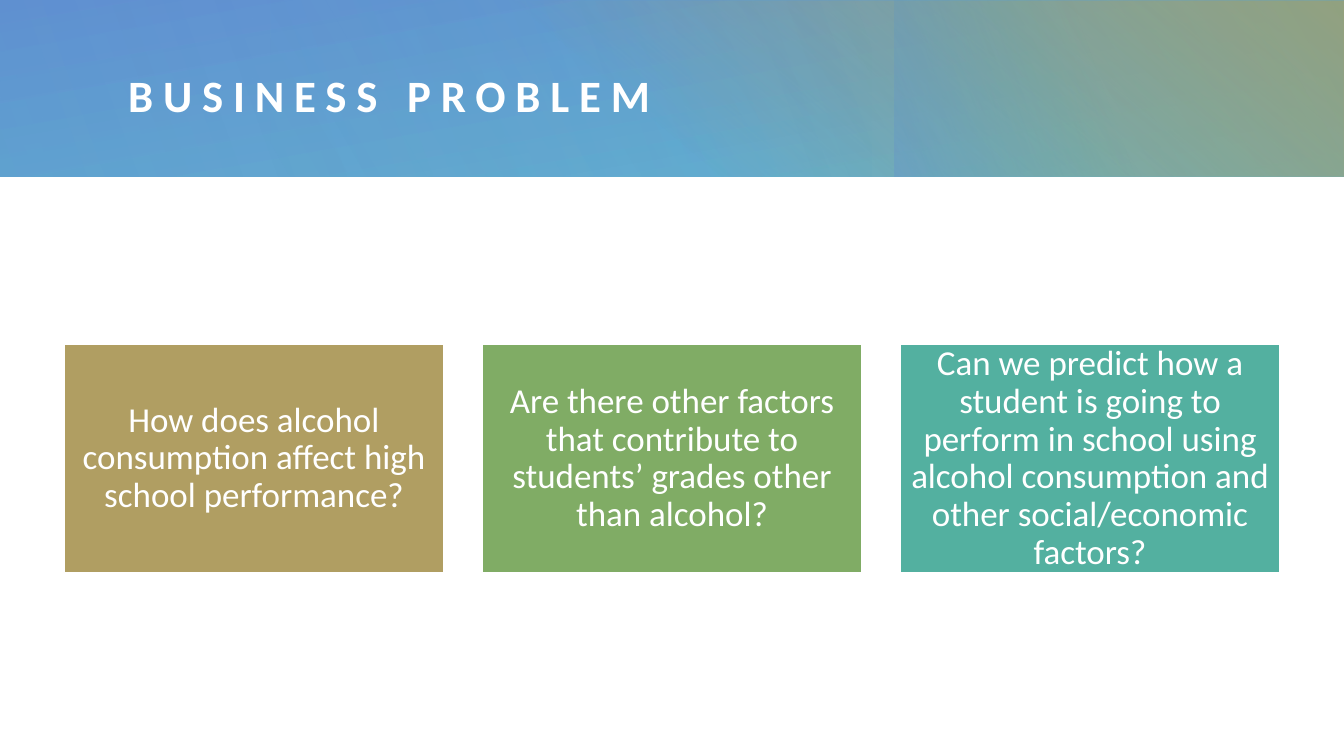
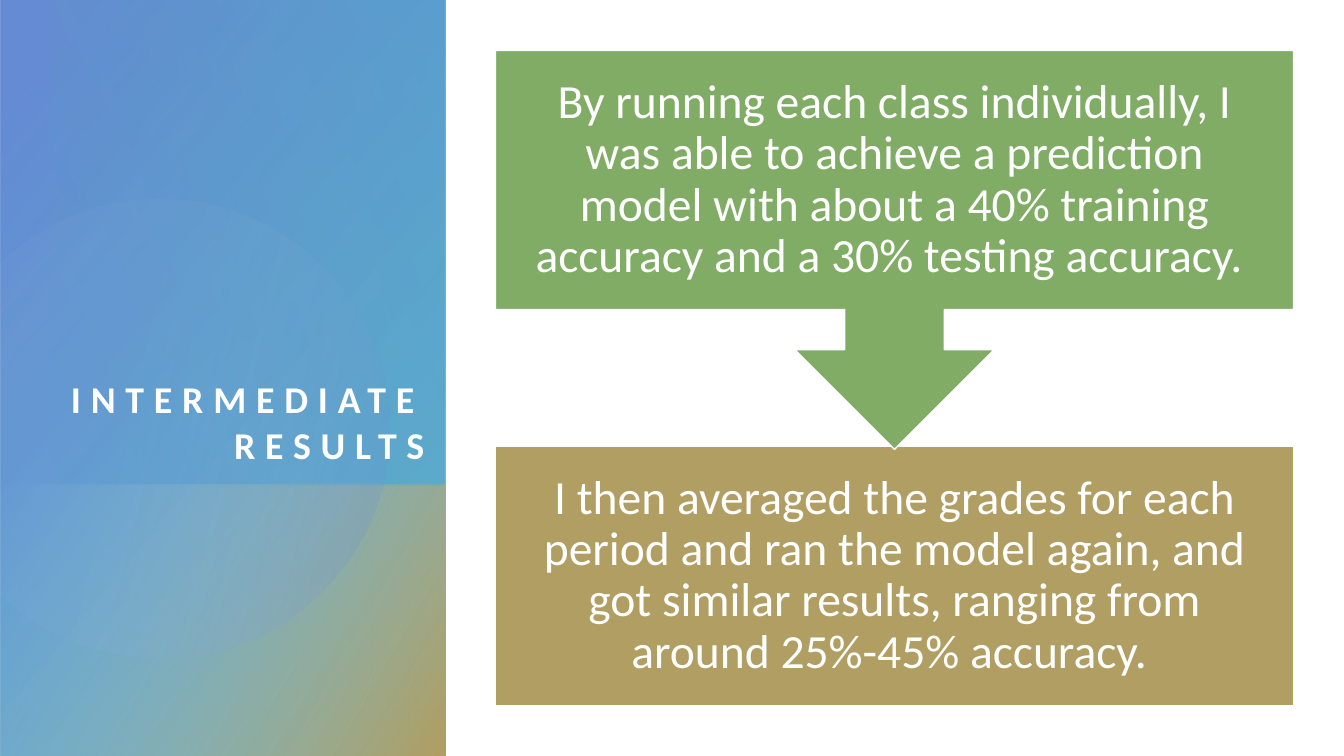
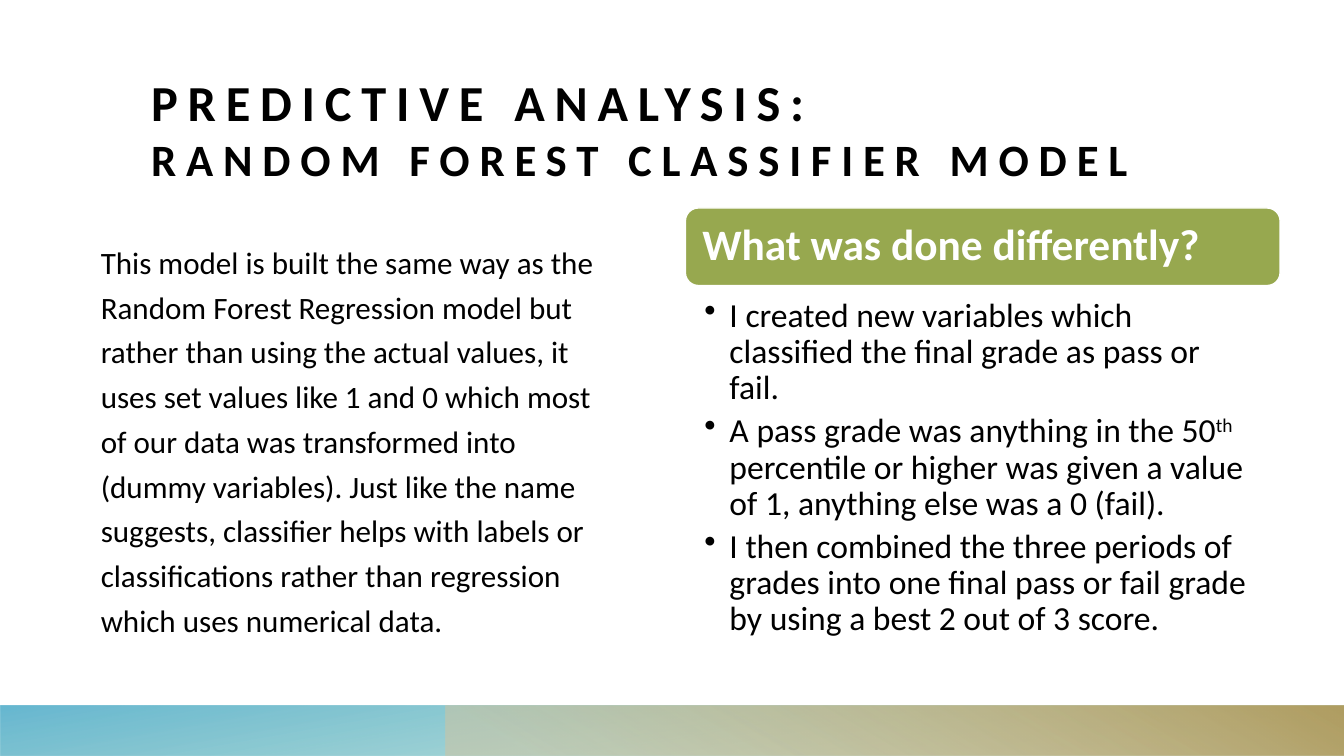
import math

import pptx
import pptx.dml.color
import pptx.enum.shapes
import pptx.enum.text
import pptx.oxml
import pptx.oxml.ns
import pptx.util

Pt = pptx.util.Pt
SHAPE = pptx.enum.shapes.MSO_SHAPE
ALIGN = pptx.enum.text.PP_ALIGN
ANCHOR = pptx.enum.text.MSO_ANCHOR

FONT = "Calibri"
WIDTH, HEIGHT = 960, 540
COLOURS = {
    "white": "FFFFFF",
    "black": "000000",
    "blue": "658BD4",
    "pale blue": "A3B9E5",
    "cyan": "4CABC9",
    "pale cyan": "94CDDF",
    "teal": "53B0A0",
    "green": "80AC65",
    "olive": "97A84F",
    "sand": "B09E62",
    "pale sand": "D0C5A1",
}


def colour(name):
    return pptx.dml.color.RGBColor.from_string(COLOURS[name])


def points(values):
    return [Pt(value) for value in values]


def set_bullet(para, indent):
    properties = para._p.get_or_add_pPr()
    properties.set("marL", str(Pt(indent)))
    properties.set("indent", str(-Pt(indent)))
    bullet = pptx.oxml.parse_xml(f'<a:buChar {pptx.oxml.ns.nsdecls("a")} char="•"/>')
    properties.append(bullet)


def write_text(shape, paragraphs, size, color="white", bold=False, align=ALIGN.LEFT,
               anchor=ANCHOR.TOP, insets=(0, 0, 0, 0), line_spacing=1.0,
               space_after=0, tracking=0, bullet_indent=0):
    frame = shape.text_frame
    frame.word_wrap = True
    frame.vertical_anchor = anchor
    (frame.margin_left, frame.margin_top,
     frame.margin_right, frame.margin_bottom) = points(insets)
    for index, runs in enumerate(paragraphs):
        para = frame.add_paragraph() if index else frame.paragraphs[0]
        para.alignment = align
        para.line_spacing = line_spacing
        para.space_after = Pt(space_after)
        if bullet_indent:
            set_bullet(para, bullet_indent)
        if isinstance(runs, str):
            runs = [(runs, {})]
        for text, changes in runs:
            if text == "\n":
                para.add_line_break()
                continue
            span = para.add_run()
            span.text = text
            span.font.name = FONT
            span.font.size = Pt(changes.get("size", size))
            span.font.bold = bold
            span.font.color.rgb = colour(color)
            properties = span._r.get_or_add_rPr()
            if tracking:
                properties.set("spc", str(tracking * 100))
            if "baseline" in changes:
                properties.set("baseline", str(changes["baseline"] * 1000))


def add_text(page, frame, paragraphs, **style):
    box = page.shapes.add_textbox(*points(frame))
    write_text(box, paragraphs, **style)


def add_title(page, frame, runs, **style):
    add_text(page, frame, [runs], bold=True, tracking=7, **style)


def add_panel(page, kind, frame, fill, text, **style):
    panel = page.shapes.add_shape(kind, *points(frame))
    panel.shadow.inherit = False
    panel.fill.solid()
    panel.fill.fore_color.rgb = colour(fill)
    panel.line.color.rgb = colour("white")
    panel.line.width = Pt(1)
    write_text(panel, [text], anchor=ANCHOR.MIDDLE, line_spacing=0.9, **style)


def paint_gradient(shape, stops, angle):
    marks = "".join(
        f'<a:gs pos="{place * 1000}"><a:srgbClr val="{COLOURS[name]}">'
        f'<a:alpha val="{opacity * 1000}"/></a:srgbClr></a:gs>'
        for place, name, opacity in stops)
    fill = pptx.oxml.parse_xml(
        f'<a:gradFill {pptx.oxml.ns.nsdecls("a")} rotWithShape="1">'
        f'<a:gsLst>{marks}</a:gsLst><a:lin ang="{angle * 60000}" scaled="0"/></a:gradFill>')
    shape._element.spPr.insert(2, fill)
    shape.line.fill.background()
    shape.shadow.inherit = False


def add_gradient(page, frame, stops, angle, rotation=0, flip=False):
    band = page.shapes.add_shape(SHAPE.RECTANGLE, *points(frame))
    band.rotation = rotation
    if flip:
        band._element.spPr.find(pptx.oxml.ns.qn("a:xfrm")).set("flipH", "1")
    paint_gradient(band, stops, angle)


def add_clipped_circle(page, center_x, center_y, radius, stops, angle):
    limit = math.degrees(math.acos(-center_x / radius))
    steps = 90
    outline = []
    for step in range(steps + 1):
        turn = math.radians(-limit + 2 * limit * step / steps)
        outline.append((Pt(center_x + radius * math.cos(turn)),
                        Pt(center_y + radius * math.sin(turn))))
    builder = page.shapes.build_freeform(*outline[0])
    builder.add_line_segments(outline[1:], close=True)
    paint_gradient(builder.convert_to_shape(), stops, angle)


def add_footer(page):
    add_gradient(page, (0, 504, WIDTH, 36),
                 [(14, "teal", 28), (100, "cyan", 85)], 100, rotation=180, flip=True)
    add_gradient(page, (318, 504, 642, 36),
                 [(9, "pale sand", 55), (99, "sand", 100)], 240, flip=True)


def build_problem(page):
    add_gradient(page, (0, 0, WIDTH, 126), [(0, "cyan", 83), (100, "blue", 100)], 260)
    add_gradient(page, (346.4, 0.6, 613.6, 125.4), [(22, "sand", 0), (99, "sand", 100)], 310)
    add_gradient(page, (710.6, -71.4, 126, 269.2),
                 [(45, "teal", 0), (99, "blue", 33)], 250, rotation=270)
    add_gradient(page, (193.2, 0, 766.4, 126),
                 [(0, "cyan", 30), (99, "cyan", 0)], 330, rotation=180)
    add_gradient(page, (0, 0, 622.8, 126), [(0, "cyan", 21), (99, "cyan", 0)], 340)
    add_title(page, (91.6, 29.6, 817, 76.4), "BUSINESS PROBLEM",
              size=32, anchor=ANCHOR.MIDDLE)
    questions = [
        ("sand", "How does alcohol consumption affect high school performance?"),
        ("green", "Are there other factors that contribute to students’ grades "
                  "other than alcohol?"),
        ("teal", "Can we predict how a student is going to perform in school using "
                 "alcohol consumption and other social/economic factors?"),
    ]
    card_width, gap = 271.4, 27.2
    left = (WIDTH - 3 * card_width - 2 * gap) / 2
    for index, (fill, text) in enumerate(questions):
        add_panel(page, SHAPE.RECTANGLE,
                  (left + index * (card_width + gap), 246.2, card_width, 162.8),
                  fill, text, size=25, align=ALIGN.CENTER, insets=(7.2,) * 4)


def build_results(page):
    add_gradient(page, (-110.9, 110.9, 540, 318.2),
                 [(8, "blue", 100), (100, "cyan", 89)], 50, rotation=270, flip=True)
    add_gradient(page, (62.2, 284.2, 193.6, 318.2),
                 [(0, "pale cyan", 0), (99, "sand", 100)], 60, rotation=270, flip=True)
    add_clipped_circle(page, 113.8, 306, 164.2,
                       [(36, "pale blue", 6), (100, "blue", 26)], 14)
    add_gradient(page, (3.6, 32.4, 346.3, 282.2),
                 [(0, "cyan", 29), (100, "teal", 0)], 110, rotation=90, flip=True)
    add_title(page, (36, 68.4, 267.2, 265), "INTERMEDIATE RESULTS",
              size=27, align=ALIGN.RIGHT, anchor=ANCHOR.BOTTOM)
    style = {"size": 34, "align": ALIGN.CENTER, "insets": (18.7,) * 4}
    add_panel(page, SHAPE.RECTANGLE, (354, 318.6, 570, 185.2), "sand",
              "I then averaged the grades for each period and ran the model again, "
              "and got similar results, ranging from around 25%-45% accuracy. ", **style)
    add_panel(page, SHAPE.DOWN_ARROW_CALLOUT, (354, 36, 570, 285), "green",
              "By running each class individually, I was able to achieve a prediction "
              "model with about a 40% training accuracy and a 30% testing accuracy. ",
              **style)


def build_analysis(page):
    add_footer(page)
    add_title(page, (108, 35.4, 806.4, 97.2),
              [("PREDICTIVE ANALYSIS:", {}), ("\n", {}),
               ("RANDOM FOREST CLASSIFIER MODEL", {"size": 32})],
              size=36, color="black", anchor=ANCHOR.BOTTOM)
    add_text(page, (72, 168.5, 355, 297.4), [
        "This model is built the same way as the Random Forest Regression model but "
        "rather than using the actual values, it uses set values like 1 and 0 which "
        "most of our data was transformed into (dummy variables). Just like the name "
        "suggests, classifier helps with labels or classifications rather than "
        "regression which uses numerical data."],
        size=22.2, color="black", line_spacing=1.2)
    add_panel(page, SHAPE.ROUNDED_RECTANGLE, (489.6, 148.6, 424.8, 55.4), "olive",
              "What was done differently?", size=31, bold=True, insets=(9.4,) * 4)
    add_text(page, (489.6, 210.2, 424.8, 232.6), [
        "I created new variables which classified the final grade as pass or fail.",
        [("A pass grade was anything in the 50", {}), ("th", {"baseline": 30}),
         (" percentile or higher was given a value of 1, anything else was a 0 (fail).", {})],
        "I then combined the three periods of grades into one final pass or fail grade "
        "by using a best 2 out of 3 score."],
        size=24, color="black", line_spacing=0.9, space_after=4.8,
        insets=(13.5, 2.9, 17.3, 2.9), bullet_indent=18)


def main():
    deck = pptx.Presentation()
    deck.slide_width, deck.slide_height = Pt(WIDTH), Pt(HEIGHT)
    for build in (build_problem, build_results, build_analysis):
        build(deck.slides.add_slide(deck.slide_layouts[6]))
    deck.save("out.pptx")


if __name__ == "__main__":
    main()
